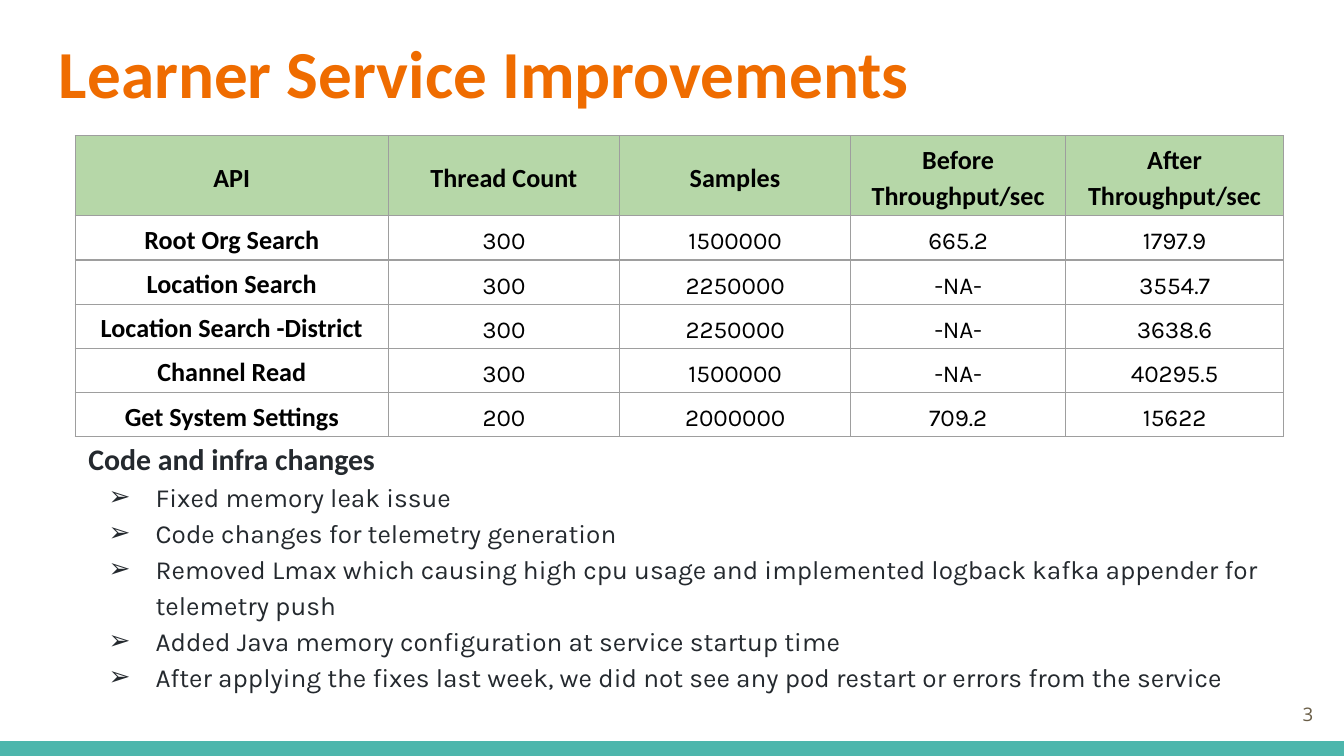
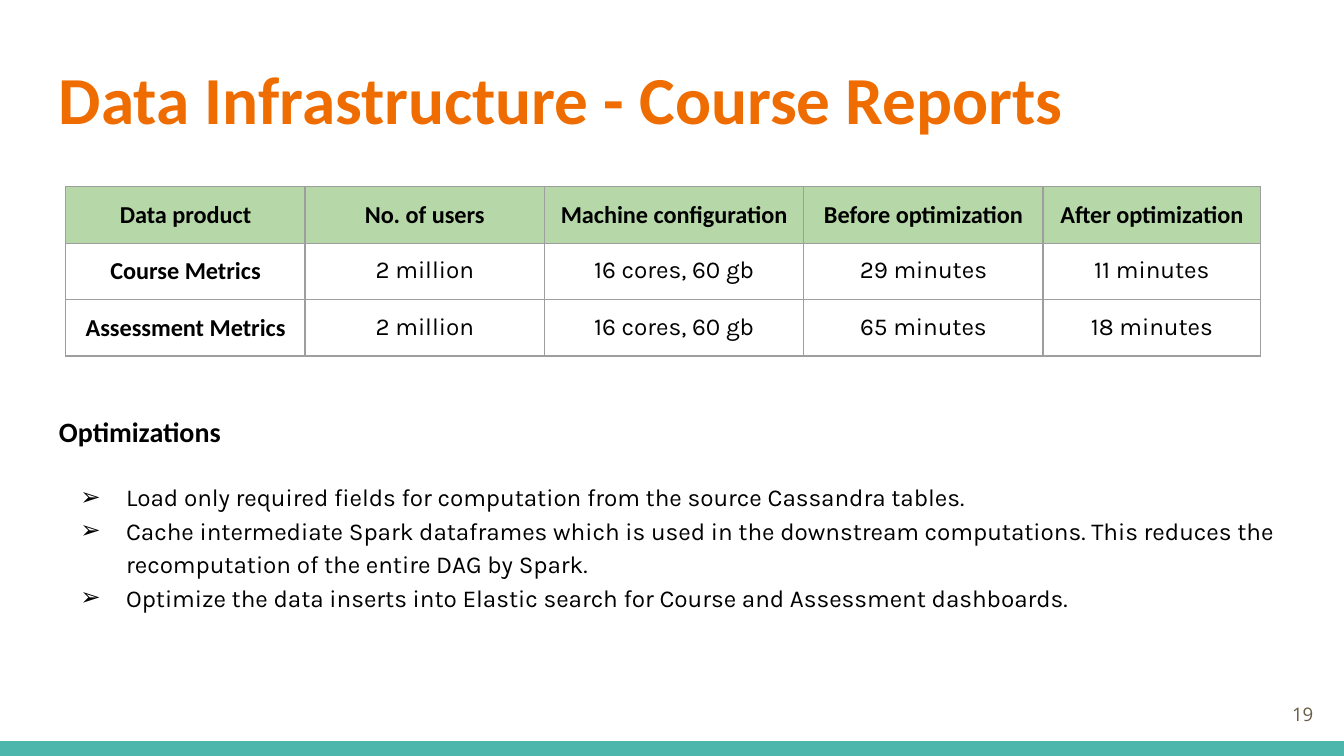
import dataclasses

import pptx
import pptx.dml.color
import pptx.enum.shapes
import pptx.enum.text
import pptx.oxml
import pptx.oxml.ns
import pptx.util
from pptx.util import Inches, Pt

ALIGN = pptx.enum.text.PP_ALIGN
ANCHOR = pptx.enum.text.MSO_ANCHOR


@dataclasses.dataclass(frozen=True)
class Theme:
    title: str = "EF6C00"
    band: str = "4DB6AC"
    header: str = "B6D7A8"
    border: str = "9E9E9E"
    black: str = "000000"
    slate: str = "24292E"
    number: str = "695D46"
    background: str = "FFFFFF"
    heading_font: str = "Calibri"
    body_font: str = "Karla"
    number_font: str = "Open Sans"
    title_size: float = 36
    number_size: float = 10
    border_width: float = 0.75
    inset: float = 0.1
    spacing: float = 1.15


THEME = Theme()
WIDTH = 10
HEIGHT = WIDTH * 9 / 16
BAND_HEIGHT = 0.11

PAGES = [
    {
        "title": "Learner Service Improvements",
        "title_top": 0.13,
        "number": 3,
        "table": {
            "place": (0.56, 1.01),
            "columns": [2.33, 1.72, 1.72, 1.6, 1.62],
            "row_height": 0.22,
            "inset": 0.03,
            "spacing": THEME.spacing,
            "label_size": 14,
            "value_size": 13,
            "label_anchor": ANCHOR.MIDDLE,
            "value_anchor": ANCHOR.BOTTOM,
            "rows": [
                ("API", "Thread Count", "Samples", "Before Throughput/sec", "After Throughput/sec"),
                ("Root Org Search", "300", "1500000", "665.2", "1797.9"),
                ("Location Search", "300", "2250000", "-NA-", "3554.7"),
                ("Location Search -District", "300", "2250000", "-NA-", "3638.6"),
                ("Channel Read", "300", "1500000", "-NA-", "40295.5"),
                ("Get System Settings", "200", "2000000", "709.2", "15622"),
            ],
        },
        "notes": {
            "place": (0.56, 3.14, 8.99, 2.05),
            "color": THEME.slate,
            "heading": "Code and infra changes",
            "heading_size": 16,
            "bullet_size": 14,
            "hanging": 0.35,
            "gap": 0,
            "bullets": [
                "Fixed memory leak issue",
                "Code changes for telemetry generation",
                "Removed Lmax which causing high cpu usage and implemented logback kafka appender for telemetry push",
                "Added Java memory configuration at service startup time",
                "After applying the fixes last week, we did not see any pod restart or errors from the service",
            ],
        },
    },
    {
        "title": "Data Infrastructure - Course Reports",
        "title_top": 0.33,
        "number": 19,
        "table": {
            "place": (0.49, 1.39),
            "columns": [1.78, 1.78, 1.93, 1.78, 1.62],
            "row_height": 0.42,
            "inset": THEME.inset,
            "spacing": 1.0,
            "label_size": 13,
            "value_size": 13,
            "label_anchor": ANCHOR.TOP,
            "value_anchor": ANCHOR.TOP,
            "rows": [
                ("Data product", "No. of users", "Machine configuration", "Before optimization", "After optimization"),
                ("Course Metrics", "2 million", "16 cores, 60 gb", "29 minutes", "11 minutes"),
                ("Assessment Metrics", "2 million", "16 cores, 60 gb", "65 minutes", "18 minutes"),
            ],
        },
        "notes": {
            "place": (0.34, 2.95, 9.32, 2.04),
            "color": THEME.black,
            "heading": "Optimizations",
            "heading_size": 15,
            "bullet_size": 13,
            "hanging": 0.34,
            "gap": 16,
            "bullets": [
                "Load only required fields for computation from the source Cassandra tables.",
                "Cache intermediate Spark dataframes which is used in the downstream computations. "
                "This reduces the recomputation of the entire DAG by Spark.",
                "Optimize the data inserts into Elastic search for Course and Assessment dashboards.",
            ],
        },
    },
]


def rgb(color):
    return pptx.dml.color.RGBColor.from_string(color)


def apply(target, values):
    for name, value in values.items():
        setattr(target, name, value)


def margins(inset):
    return {f"margin_{side}": Inches(inset) for side in ("left", "top", "right", "bottom")}


def element(xml):
    """Build an element whose tag uses the a: prefix."""
    head, rest = xml.split(" ", 1)
    return pptx.oxml.parse_xml(f"{head} {pptx.oxml.ns.nsdecls('a')} {rest}")


def write(para, text, size, color, font=THEME.heading_font, bold=False, **layout):
    apply(para, layout)
    span = para.add_run()
    span.text = text
    apply(span.font, {"size": Pt(size), "name": font, "bold": bold})
    span.font.color.rgb = rgb(color)


def add_box(page, place, anchor=ANCHOR.TOP):
    box = page.shapes.add_textbox(*map(Inches, place))
    frame = box.text_frame
    apply(frame, {"word_wrap": True, "vertical_anchor": anchor, **margins(THEME.inset)})
    return frame


def add_bullet_mark(para, color, hanging):
    properties = para._p.get_or_add_pPr()
    properties.set("marL", str(Inches(0.5)))
    properties.set("indent", str(-Inches(hanging)))
    properties.append(element(f'<a:buClr ><a:srgbClr val="{color}"/></a:buClr>'))
    properties.append(element(f'<a:buFont typeface="{THEME.body_font}"/>'))
    properties.append(element('<a:buChar char="➢"/>'))


def add_frame(page, content):
    """Add the background, bottom band, title and page number."""
    page.background.fill.solid()
    page.background.fill.fore_color.rgb = rgb(THEME.background)
    band = page.shapes.add_shape(
        pptx.enum.shapes.MSO_SHAPE.RECTANGLE,
        *map(Inches, (0, HEIGHT - BAND_HEIGHT, WIDTH, BAND_HEIGHT)),
    )
    band.shadow.inherit = False
    band.fill.solid()
    band.fill.fore_color.rgb = rgb(THEME.band)
    band.line.fill.background()

    title = add_box(page, (0.34, content["title_top"], 9.32, 0.77))
    write(title.paragraphs[0], content["title"], THEME.title_size, THEME.title, bold=True)
    number = add_box(page, (9.27, 5.1, 0.6, 0.43), ANCHOR.MIDDLE)
    write(number.paragraphs[0], str(content["number"]), THEME.number_size, THEME.number,
          THEME.number_font, alignment=ALIGN.RIGHT)


def add_notes(page, notes):
    frame = add_box(page, notes["place"])
    write(frame.paragraphs[0], notes["heading"], notes["heading_size"], notes["color"],
          bold=True, line_spacing=THEME.spacing)
    for index, text in enumerate(notes["bullets"]):
        para = frame.add_paragraph()
        add_bullet_mark(para, notes["color"], notes["hanging"])
        write(para, text, notes["bullet_size"], notes["color"], THEME.body_font,
              line_spacing=THEME.spacing, space_before=Pt(0 if index else notes["gap"]))


def add_borders(cell):
    properties = cell._tc.get_or_add_tcPr()
    for side in "LRTB":
        properties.append(element(
            f'<a:ln{side} w="{Pt(THEME.border_width)}"><a:solidFill>'
            f'<a:srgbClr val="{THEME.border}"/></a:solidFill></a:ln{side}>'
        ))


def add_results(page, results):
    rows, columns = results["rows"], results["columns"]
    size = (sum(columns), results["row_height"] * len(rows))
    table = page.shapes.add_table(
        len(rows), len(columns), *map(Inches, results["place"] + size)
    ).table
    apply(table, {"first_row": False, "horz_banding": False})
    for column, width in zip(table.columns, columns):
        column.width = Inches(width)
    for row_index, texts in enumerate(rows):
        table.rows[row_index].height = Inches(results["row_height"])
        for column_index, text in enumerate(texts):
            cell = table.cell(row_index, column_index)
            is_label = row_index == 0 or column_index == 0
            kind = "label" if is_label else "value"
            apply(cell, {"vertical_anchor": results[f"{kind}_anchor"], **margins(results["inset"])})
            add_borders(cell)
            if row_index == 0:
                cell.fill.solid()
                cell.fill.fore_color.rgb = rgb(THEME.header)
            else:
                cell.fill.background()
            write(cell.text_frame.paragraphs[0], text, results[f"{kind}_size"], THEME.black,
                  THEME.heading_font if is_label else THEME.body_font, is_label,
                  alignment=ALIGN.CENTER, line_spacing=results["spacing"])


def main():
    deck = pptx.Presentation()
    apply(deck, {"slide_width": Inches(WIDTH), "slide_height": Inches(HEIGHT)})
    for content in PAGES:
        page = deck.slides.add_slide(deck.slide_layouts[6])
        add_frame(page, content)
        add_notes(page, content["notes"])
        add_results(page, content["table"])
    deck.save("out.pptx")


if __name__ == "__main__":
    main()
